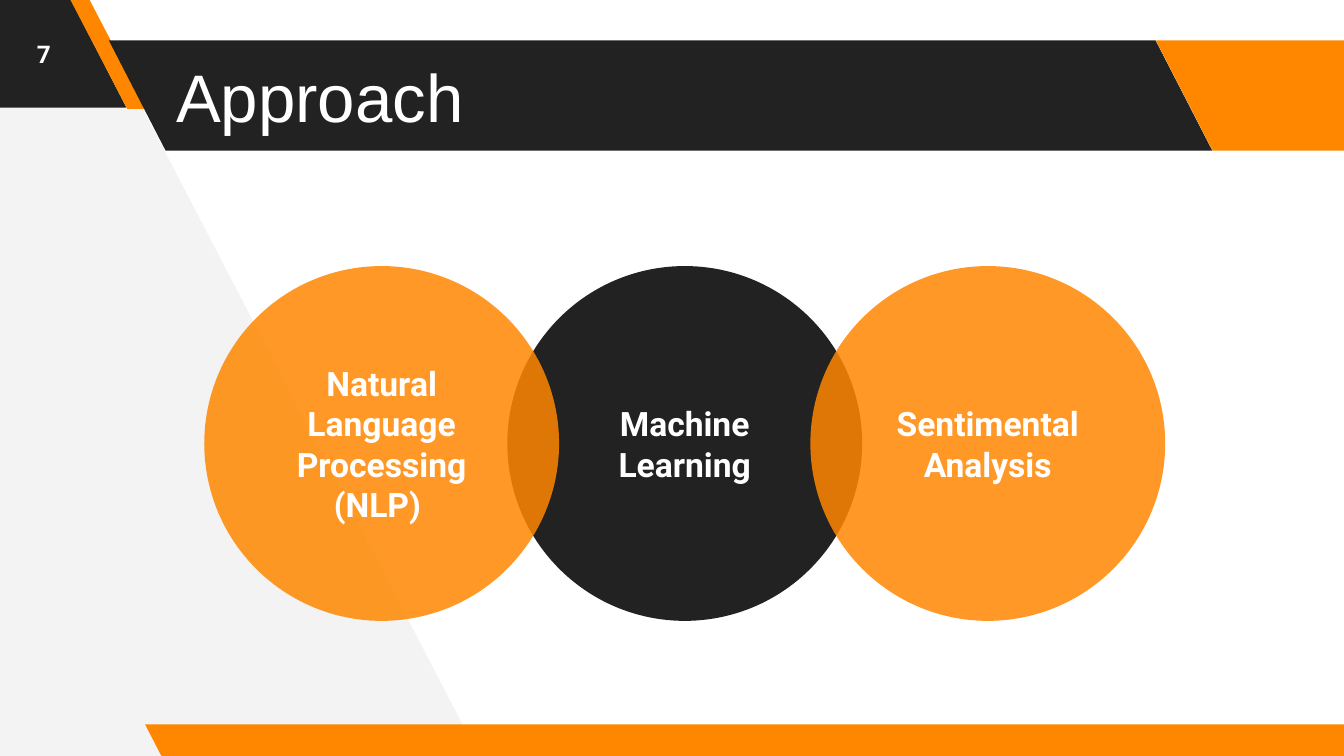
import pptx
import pptx.dml.color
import pptx.enum.shapes
import pptx.enum.text
import pptx.oxml
import pptx.oxml.ns
import pptx.util
from pptx.util import Inches

DARK = "222222"
ORANGE = "FF8700"
PALE = "F3F3F3"
WHITE = "FFFFFF"
CENTER = pptx.enum.text.PP_ALIGN.CENTER
LEFT = pptx.enum.text.PP_ALIGN.LEFT


def color(value):
    return pptx.dml.color.RGBColor.from_string(value)


def write_text(shape, text, size=18, font="Roboto", bold=True, align=CENTER):
    frame = shape.text_frame
    frame.word_wrap = True
    frame.auto_size = pptx.enum.text.MSO_AUTO_SIZE.NONE
    frame.vertical_anchor = pptx.enum.text.MSO_ANCHOR.MIDDLE
    frame.margin_left = frame.margin_right = Inches(0.1)
    frame.margin_top = frame.margin_bottom = Inches(0.1)
    frame.text = text
    for paragraph in frame.paragraphs:
        paragraph.alignment = align
        paragraph.line_spacing = 1.0
        paragraph.space_before = pptx.util.Pt(0)
        for run in paragraph.runs:
            run.font.size = pptx.util.Pt(size)
            run.font.name = font
            run.font.bold = bold
            run.font.color.rgb = color(WHITE)


class SlideBuilder:
    def __init__(self, slide):
        self.slide = slide
        self.shapes = slide.shapes

    def paint(self, shape, fill, alpha=100):
        shape.shadow.inherit = False
        shape.fill.solid()
        shape.fill.fore_color.rgb = color(fill)
        shape.line.fill.background()
        if alpha < 100:
            solid = shape.fill._xPr.find(pptx.oxml.ns.qn("a:solidFill"))
            element = pptx.oxml.parse_xml(
                f'<a:alpha {pptx.oxml.ns.nsdecls("a")} val="{alpha * 1000}"/>')
            solid[0].append(element)

    def polygon(self, points, fill):
        corners = [(Inches(x), Inches(y)) for x, y in points]
        builder = self.shapes.build_freeform(*corners[0])
        builder.add_line_segments(corners[1:], close=True)
        self.paint(builder.convert_to_shape(), fill)

    def band(self, left, top, width, height, fill, slant=0.515):
        shape = self.shapes.add_shape(
            pptx.enum.shapes.MSO_SHAPE.PARALLELOGRAM,
            Inches(left), Inches(top), Inches(width), Inches(height))
        shape.adjustments[0] = slant
        shape._element.spPr.xfrm.set("flipH", "1")
        self.paint(shape, fill)

    def title(self, text, left, top, width, height):
        title = self.shapes.title
        title.left, title.top = Inches(left), Inches(top)
        title.width, title.height = Inches(width), Inches(height)
        write_text(title, text, size=36, font="Arial", bold=False, align=LEFT)
        self.shapes._spTree.append(title._element)

    def circle(self, text, left, top, diameter, fill, alpha=100):
        shape = self.shapes.add_shape(
            pptx.enum.shapes.MSO_SHAPE.OVAL,
            Inches(left), Inches(top), Inches(diameter), Inches(diameter))
        self.paint(shape, fill, alpha)
        write_text(shape, text)

    def label(self, text, left, top, width, height, size):
        box = self.shapes.add_textbox(
            Inches(left), Inches(top), Inches(width), Inches(height))
        write_text(box, text, size=size)


def main():
    presentation = pptx.Presentation()
    presentation.slide_width = Inches(10)
    presentation.slide_height = presentation.slide_width * 9 // 16
    slide = presentation.slides.add_slide(presentation.slide_layouts[5])
    builder = SlideBuilder(slide)

    builder.polygon([(3.56, 5.62), (0.62, -0.04), (-0.06, -0.04), (-0.02, 5.66)], PALE)
    builder.band(-0.98, -0.02, 1.92, 0.82, DARK)
    builder.band(0.52, -0.01, 0.57, 0.82, ORANGE, slant=0.75)
    builder.band(0.81, 0.3, 8.21, 0.82, DARK)
    builder.band(8.6, 0.3, 1.92, 0.82, ORANGE)
    builder.band(1.08, 5.39, 9.15, 0.25, ORANGE)
    builder.title("Approach", 1.21, 0.3, 7.35, 0.82)

    first_left, last_left = 1.52, 6.03
    step = (last_left - first_left) / 2
    circles = [
        (1, "Machine Learning", DARK, 100),
        (0, "Natural Language Processing\n(NLP) ", ORANGE, 85),
        (2, "Sentimental Analysis", ORANGE, 85),
    ]
    for position, text, fill, alpha in circles:
        builder.circle(text, first_left + position * step, 1.98, 2.64, fill, alpha)

    builder.label("7", 0, 0, 0.65, 0.8, size=13)
    presentation.save("out.pptx")


if __name__ == "__main__":
    main()
